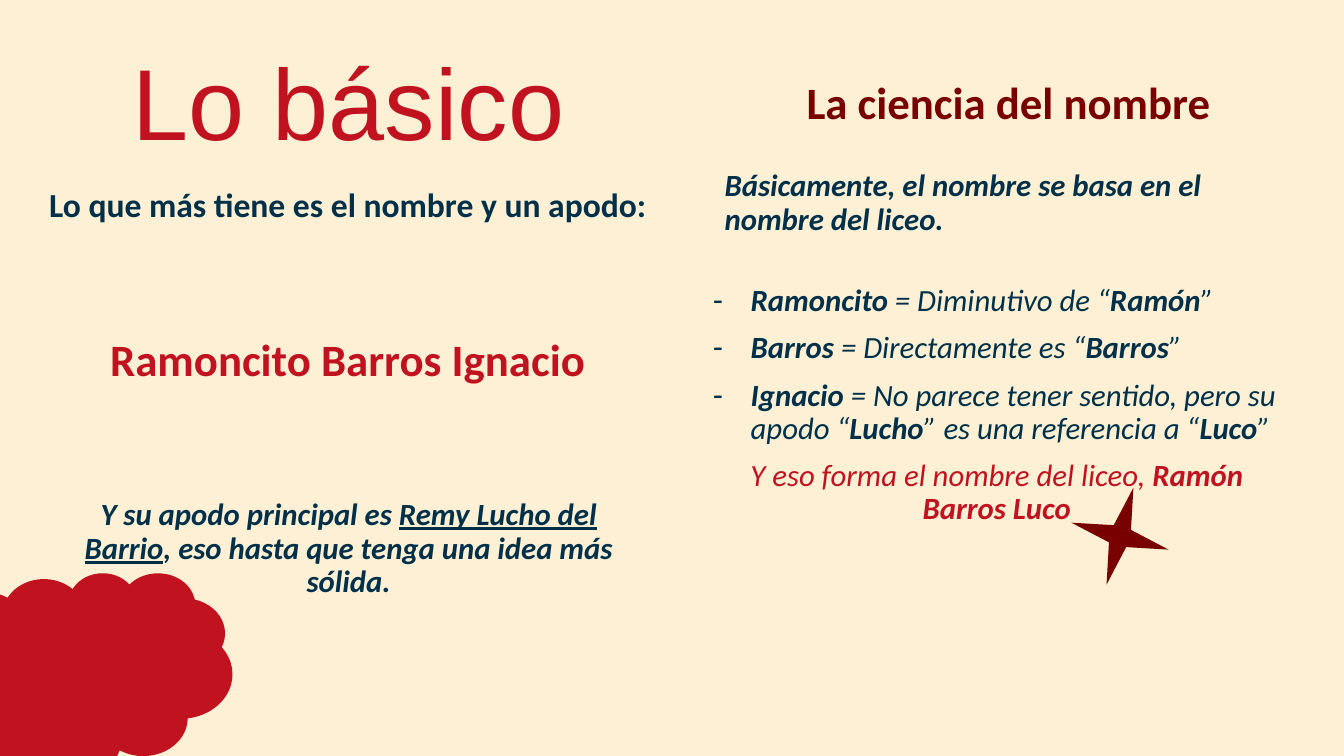
from dataclasses import dataclass
from typing import Any, NamedTuple

import pptx
import pptx.dml.color
import pptx.enum.shapes
import pptx.enum.text
import pptx.oxml
import pptx.oxml.ns
import pptx.util

Pt = pptx.util.Pt
ALIGN = pptx.enum.text.PP_ALIGN
ANCHOR = pptx.enum.text.MSO_ANCHOR
SHAPE = pptx.enum.shapes.MSO_SHAPE

COLORS = {
    "cream": "FDF0D5",
    "red": "C1121F",
    "maroon": "780000",
    "navy": "003049",
}
BOLD = {"bold": True}
ITALIC = {"italic": True}
BOLD_ITALIC = BOLD | ITALIC


class Box(NamedTuple):
    left: float
    top: float
    width: float
    height: float


class Run(NamedTuple):
    text: str
    format: dict[str, Any] = {}


@dataclass
class Line:
    runs: list[Run]
    size: float
    color: str
    align: Any = ALIGN.CENTER
    bullet: str = ""
    font: str = "Calibri"


@dataclass
class TextBlock:
    box: Box
    lines: list[Line]
    anchor: Any = ANCHOR.TOP


@dataclass
class Decoration:
    kind: Any
    box: Box
    color: str
    rotation: float = 0


def rgb(name: str) -> pptx.dml.color.RGBColor:
    return pptx.dml.color.RGBColor.from_string(COLORS[name])


def set_attributes(target: Any, values: dict[str, Any]) -> None:
    for name, value in values.items():
        setattr(target, name, value)


def place(shape: Any, box: Box) -> None:
    set_attributes(shape, {name: Pt(value) for name, value in box._asdict().items()})


def set_bullet(paragraph: Any, character: str) -> None:
    properties = paragraph._p.get_or_add_pPr()
    indent = Pt(27) if character else 0
    properties.set("marL", str(indent))
    properties.set("indent", str(-indent))
    tag = f'a:buChar char="{character}"' if character else "a:buNone"
    namespace = pptx.oxml.ns.nsdecls("a")
    properties.append(pptx.oxml.parse_xml(f"<{tag} {namespace}/>"))


def write_line(paragraph: Any, line: Line, space_before: float) -> None:
    set_bullet(paragraph, line.bullet)
    set_attributes(paragraph, {
        "alignment": line.align,
        "line_spacing": 0.9,
        "space_before": Pt(space_before),
    })
    for text, format_values in line.runs:
        run = paragraph.add_run()
        run.text = text
        set_attributes(run.font, {"name": line.font, "size": Pt(line.size)} | format_values)
        run.font.color.rgb = rgb(line.color)


def write_block(shape: Any, block: TextBlock) -> None:
    place(shape, block.box)
    frame = shape.text_frame
    set_attributes(frame, {
        "word_wrap": True,
        "auto_size": pptx.enum.text.MSO_AUTO_SIZE.NONE,
        "vertical_anchor": block.anchor,
    })
    for index, line in enumerate(block.lines):
        paragraph = frame.add_paragraph() if index else frame.paragraphs[0]
        write_line(paragraph, line, 10 if index else 0)


def draw_decoration(slide: Any, decoration: Decoration) -> None:
    shape = slide.shapes.add_shape(decoration.kind, *map(Pt, decoration.box))
    shape.rotation = decoration.rotation
    shape.shadow.inherit = False
    shape.fill.solid()
    shape.fill.fore_color.rgb = rgb(decoration.color)
    shape.line.fill.background()


def name_item(*runs: Run) -> Line:
    return Line(list(runs), 22, "navy", ALIGN.LEFT, "-")


TITLE = TextBlock(
    Box(39, 18, 420, 101.5),
    [Line([Run("Lo básico")], 72, "red", font="Arial")],
    ANCHOR.BOTTOM,
)
NAME_LIST = TextBlock(Box(502, 200, 420, 254), [
    name_item(
        Run("Ramoncito", BOLD_ITALIC),
        Run(" = Diminutivo de “", ITALIC),
        Run("Ramón", BOLD_ITALIC),
        Run("”", ITALIC),
    ),
    name_item(
        Run("Barros", BOLD_ITALIC),
        Run(" = Directamente es “", ITALIC),
        Run("Barros", BOLD_ITALIC),
        Run("”", ITALIC),
    ),
    name_item(
        Run("Ignacio", BOLD_ITALIC),
        Run(" = No parece tener sentido, pero su apodo “", ITALIC),
        Run("Lucho", BOLD_ITALIC),
        Run("” es una referencia a “", ITALIC),
        Run("Luco", BOLD_ITALIC),
        Run("”", ITALIC),
    ),
    Line([
        Run("Y eso forma el nombre del liceo, ", ITALIC),
        Run("Ramón Barros Luco", BOLD_ITALIC),
    ], 22, "red"),
])
TEXT_BLOCKS = [
    TextBlock(Box(28, 131, 441, 101.5), [
        Line([Run("Lo que más tiene es el nombre y un apodo:", BOLD)], 24, "navy"),
    ]),
    TextBlock(Box(28, 237.5, 441, 101.5), [
        Line([Run("Ramoncito Barros Ignacio", BOLD)], 32, "red"),
    ]),
    TextBlock(Box(39, 353, 420, 101.5), [
        Line([
            Run("Y su apodo principal es ", BOLD_ITALIC),
            Run("Remy Lucho del Barrio", BOLD_ITALIC | {"underline": True}),
            Run(", eso hasta que tenga una idea más sólida.", BOLD_ITALIC),
        ], 22, "navy"),
    ]),
    TextBlock(Box(500, 54, 441, 50), [
        Line([Run("La ciencia del nombre", BOLD)], 32, "maroon"),
    ]),
    TextBlock(Box(510.5, 118, 420, 68.5), [
        Line([
            Run("Básicamente, el nombre se basa en el nombre del liceo.", BOLD_ITALIC),
        ], 22, "navy", ALIGN.LEFT),
    ]),
]
DECORATIONS = [
    Decoration(SHAPE.STAR_4_POINT, Box(764, 347, 72, 72), "maroon", 15.5),
    Decoration(SHAPE.CLOUD, Box(-71.5, 409, 237.5, 149), "red"),
]


def main() -> None:
    presentation = pptx.Presentation()
    set_attributes(presentation, {"slide_width": Pt(960), "slide_height": Pt(540)})
    slide = presentation.slides.add_slide(presentation.slide_layouts[1])
    slide.background.fill.solid()
    slide.background.fill.fore_color.rgb = rgb("cream")
    write_block(slide.shapes.title, TITLE)
    write_block(slide.placeholders[1], NAME_LIST)
    for block in TEXT_BLOCKS:
        write_block(slide.shapes.add_textbox(*map(Pt, block.box)), block)
    for decoration in DECORATIONS:
        draw_decoration(slide, decoration)
    presentation.save("out.pptx")


if __name__ == "__main__":
    main()
